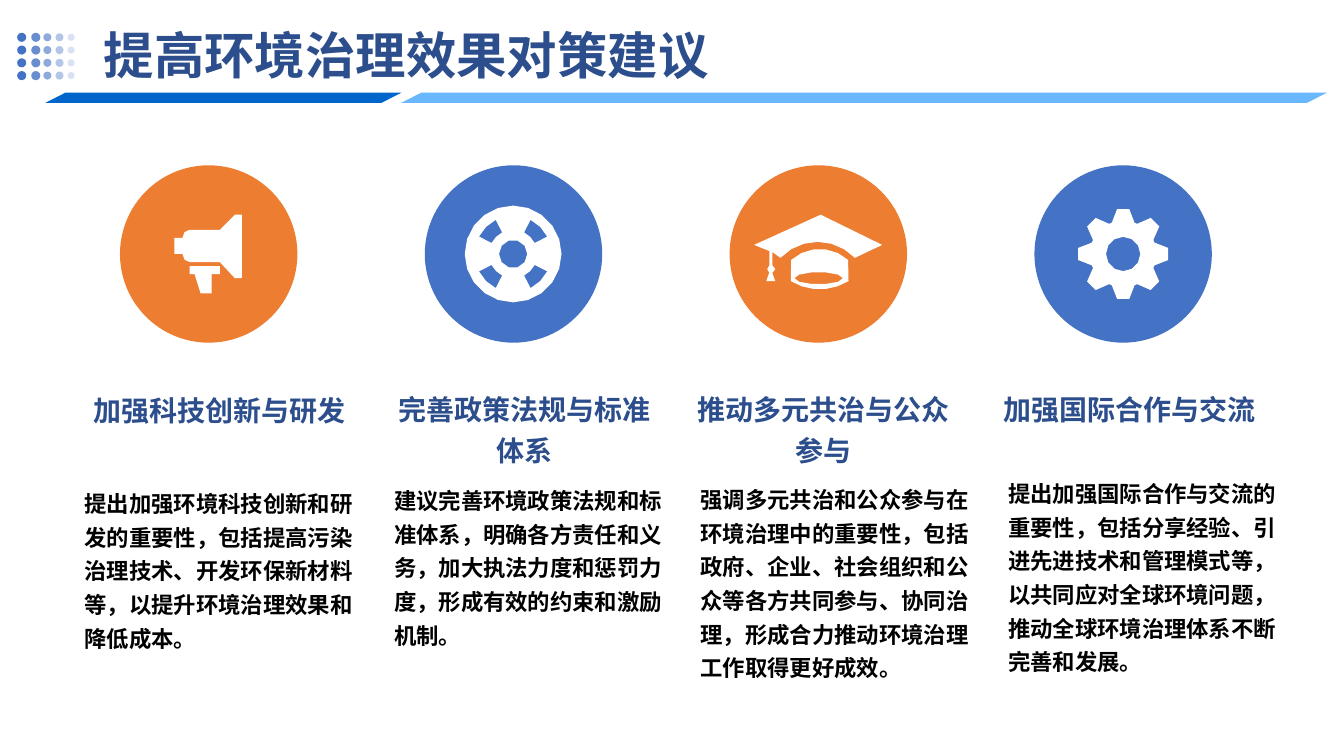
from math import cos, radians, sin

from lxml import etree
from pptx import Presentation
from pptx.dml.color import RGBColor
from pptx.enum import shapes, text
from pptx.oxml import ns
from pptx.util import Inches, Pt

BLUE = RGBColor(0x44, 0x72, 0xC4)
ORANGE = RGBColor(0xED, 0x7D, 0x31)
NAVY = RGBColor(0x2C, 0x4E, 0x8C)
DARK_BAR = RGBColor(0x00, 0x66, 0xCC)
LIGHT_BAR = RGBColor(0x69, 0xB8, 0xFF)
WHITE = RGBColor(0xFF, 0xFF, 0xFF)
BLACK = RGBColor(0x00, 0x00, 0x00)


def arc(x, y, radius_x, radius_y, start, end, steps):
    angles = [radians(start + (end - start) * i / steps) for i in range(steps + 1)]
    return [(x + radius_x * cos(a), y + radius_y * sin(a)) for a in angles]


def add_text(left, top, width, height, words, size, color, spacing=1.0):
    box = slide.shapes.add_textbox(Inches(left), Inches(top), Inches(width), Inches(height))
    frame = box.text_frame
    frame.word_wrap = True
    frame.auto_size = text.MSO_AUTO_SIZE.SHAPE_TO_FIT_TEXT
    paragraph = frame.paragraphs[0]
    paragraph.text = words
    paragraph.line_spacing = spacing
    paragraph.font.size = Pt(size)
    paragraph.font.bold = True
    paragraph.font.color.rgb = color
    paragraph.font.name = "Arial"
    defaults = paragraph._p.pPr.find(ns.qn("a:defRPr"))
    etree.SubElement(defaults, ns.qn("a:ea")).set("typeface", "Arial")
    return frame


presentation = Presentation()
presentation.slide_width = Inches(13.33)
presentation.slide_height = Inches(7.5)
slide = presentation.slides.add_slide(presentation.slide_layouts[6])

add_text(0.93, 0.19, 11.86, 0.71, "提高环境治理效果对策建议", 36, NAVY)

dot_columns = [(0.17, 0.09, 100), (0.31, 0.09, 80), (0.43, 0.08, 60), (0.55, 0.08, 40), (0.67, 0.07, 20)]
for row in range(4):
    middle = 0.37 + 0.38 * row / 3
    for left, size, opacity in dot_columns:
        dot = slide.shapes.add_shape(
            shapes.MSO_SHAPE.OVAL, Inches(left), Inches(middle - size / 2), Inches(size), Inches(size))
        dot.shadow.inherit = False
        dot.line.fill.background()
        dot.fill.solid()
        dot.fill.fore_color.rgb = BLUE
        if opacity < 100:
            color = dot._element.spPr.find(".//" + ns.qn("a:srgbClr"))
            etree.SubElement(color, ns.qn("a:alpha")).set("val", str(opacity * 1000))

for left, width, color in [(0.45, 3.53, DARK_BAR), (3.98, 9.18, LIGHT_BAR)]:
    bar = slide.shapes.add_shape(
        shapes.MSO_SHAPE.PARALLELOGRAM, Inches(left), Inches(0.92), Inches(width), Inches(0.1))
    bar.rotation = 180
    bar.adjustments[0] = 1.967
    bar.shadow.inherit = False
    bar.line.fill.background()
    bar.fill.solid()
    bar.fill.fore_color.rgb = color

megaphone = [
    arc(1.88, 2.36, 0.07, 0.08, 180, 270, 2)
    + [(2.18, 2.28), (2.33, 2.13), (2.4, 2.13), (2.4, 2.76), (2.33, 2.76), (2.18, 2.6)]
    + arc(1.88, 2.52, 0.07, 0.08, 90, 180, 2)
    + [(1.73, 2.52), (1.73, 2.36)],
    [(2.1, 2.72), (2.1, 2.91), (1.99, 2.91), (1.93, 2.72), (1.88, 2.72),
     (1.88, 2.64), (2.18, 2.64), (2.18, 2.72)],
]

lifebuoy = [arc(5.09, 2.52, 0.48, 0.48, 0, 360, 20), arc(5.09, 2.52, 0.14, 0.14, 0, 360, 10)]
for start in (27, 117, 207, 297):
    lifebuoy.append(arc(5.09, 2.52, 0.38, 0.38, start, start + 36, 2)
                    + arc(5.09, 2.52, 0.24, 0.24, start + 36, start, 2))

graduation_cap = [
    arc(8.11, 2.91, 0.51, 0.51, -43.6, -136.4, 6)
    + [(7.66, 2.5)]
    + arc(7.65, 2.67, 0.04, 0.04, -75, 75, 2)
    + [(7.69, 2.79), (7.6, 2.79)]
    + arc(7.65, 2.67, 0.04, 0.04, 120, 240, 2)
    + [(7.63, 2.49), (7.48, 2.43), (8.14, 2.13), (8.75, 2.43)],
    arc(8.13, 2.89, 0.42, 0.42, -132.2, -47.8, 5) + arc(8.13, 2.32, 0.55, 0.55, 58.6, 121.4, 5),
    arc(8.12, 2.76, 0.24, 0.06, 0, 360, 10),
]

gear_outline = []
for tooth in range(8):
    for offset, radius in [(-20, 0.33), (-7.7, 0.45), (7.7, 0.45), (20, 0.33)]:
        angle = radians(45 * tooth + offset)
        gear_outline.append((11.14 + radius * cos(angle), 2.52 + radius * sin(angle)))
gear = [gear_outline, arc(11.14, 2.52, 0.17, 0.17, 0, 360, 12)]

measures = [
    (ORANGE, megaphone, "加强科技创新与研发", (0.78, 3.7, 0.64),
     "提出加强环境科技创新和研发的重要性，包括提高污染治理技术、开发环保新材料等，以提升环境治理效果和降低成本。",
     (0.74, 4.75, 1.76)),
    (BLUE, lifebuoy, "完善政策法规与标准体系", (3.81, 3.69, 1.06),
     "建议完善环境政策法规和标准体系，明确各方责任和义务，加大执法力度和惩罚力度，形成有效的约束和激励机制。",
     (3.81, 4.72, 1.76)),
    (ORANGE, graduation_cap, "推动多元共治与公众参与", (6.77, 3.69, 1.06),
     "强调多元共治和公众参与在环境治理中的重要性，包括政府、企业、社会组织和公众等各方共同参与、协同治理，形成合力推动环境治理工作取得更好成效。",
     (6.85, 4.71, 2.1)),
    (BLUE, gear, "加强国际合作与交流", (9.81, 3.69, 0.65),
     "提出加强国际合作与交流的重要性，包括分享经验、引进先进技术和管理模式等，以共同应对全球环境问题，推动全球环境治理体系不断完善和发展。",
     (9.9, 4.65, 2.1)),
]
for index, (color, icon, heading, heading_place, detail, detail_place) in enumerate(measures):
    disc = slide.shapes.add_shape(
        shapes.MSO_SHAPE.OVAL, Inches(1.19 + 9.07 * index / 3), Inches(1.64), Inches(1.76), Inches(1.76))

    builder = None
    for contour in icon:
        points = [(Inches(x), Inches(y)) for x, y in contour]
        if builder is None:
            builder = slide.shapes.build_freeform(*points[0])
        else:
            builder.move_to(*points[0])
        builder.add_line_segments(points[1:], close=True)
    symbol = builder.convert_to_shape()

    for shape, fill in [(disc, color), (symbol, WHITE)]:
        shape.shadow.inherit = False
        shape.line.fill.background()
        shape.fill.solid()
        shape.fill.fore_color.rgb = fill

    left, top, height = heading_place
    frame = add_text(left, top, 2.71, height, heading, 20, NAVY, 1.2)
    frame.margin_left = frame.margin_top = frame.margin_bottom = Inches(0.14)
    frame.margin_right = Inches(0.06)
    frame.paragraphs[0].alignment = text.PP_ALIGN.CENTER

    left, top, height = detail_place
    add_text(left, top, 2.88, height, detail, 16, BLACK, 1.25)

presentation.save("out.pptx")
